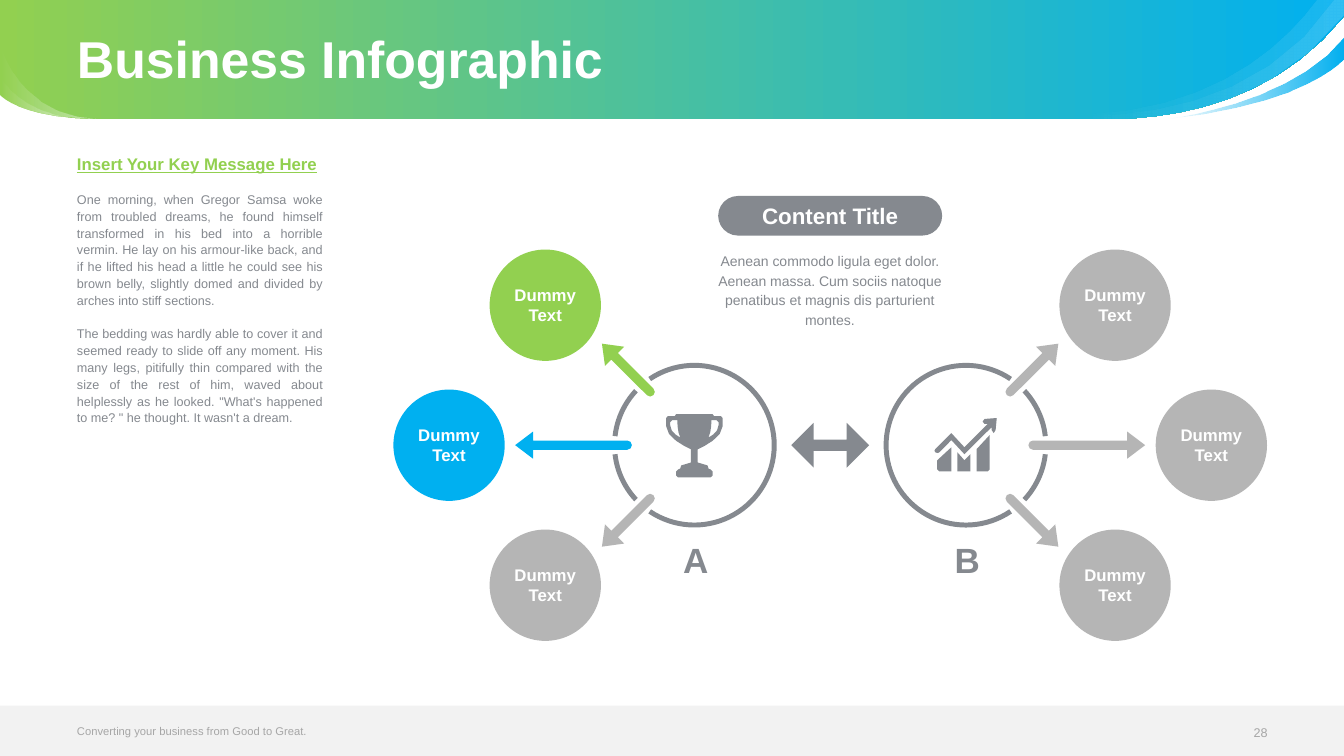
import math
from dataclasses import dataclass

from lxml import etree
from pptx import Presentation
from pptx import util as u
from pptx.dml.color import RGBColor
from pptx.enum import shapes, text
from pptx.oxml.ns import qn

GREEN, BLUE, SLATE, SILVER = "92D050", "00B0F0", "85898F", "B5B5B5"
WHITE, PALE, MUTED = "FFFFFF", "F2F2F2", "A6A6A6"
FONT = "Arial"
MIRROR_X = 593
CENTRE_Y = 318
HUB_A_X = 496
HUB = 117.6
DISC = 79.5

Point = tuple[float, float]
Outline = list[Point]


@dataclass
class Stop:
    position: float
    colour: str
    opacity: int = 100


@dataclass
class Swoosh:
    steps: list[tuple]
    stops: list[Stop]


@dataclass
class Spoke:
    disc: Point
    tip: Point
    tail: Point
    colour: str


@dataclass
class Style:
    size: float
    colour: str
    bold: bool = False
    align: text.PP_ALIGN = text.PP_ALIGN.LEFT
    anchor: text.MSO_ANCHOR = text.MSO_ANCHOR.MIDDLE
    spacing: float | u.Length | None = None
    before: float = 0


FADE_10 = [Stop(0.15, WHITE, 0), Stop(1, WHITE, 10)]
FADE_50 = [Stop(0, WHITE, 0), Stop(1, WHITE, 50)]
# A step of two numbers is a line, a step of six is a cubic curve.
SWOOSHES = [
    Swoosh([(960, 0), (960, 11.5), (911.5, 72, 842.5, 84.3, 795.6, 85), (70, 85),
            (13, 84.3, 0, 67.7, 0, 67.7), (0, 0)], [Stop(0, GREEN), Stop(1, BLUE)]),
    Swoosh([(960, 0), (960, 11.5), (881.5, 110, 748, 81.5, 744.5, 80.6),
            (749, 80.6, 887, 100, 953.3, 0)], FADE_10),
    Swoosh([(833, 85), (833, 85, 923, 74.2, 960, 26.6), (960, 42.5),
            (960, 42.5, 931.7, 75, 833, 85)], [Stop(0, BLUE, 0), Stop(1, BLUE)]),
    Swoosh([(960, 0), (960, 11.5), (880.5, 111.6, 744.5, 80.6, 744.5, 80.6),
            (856, 87.8, 914.4, 36, 941, 0)], FADE_10),
    Swoosh([(70, 85), (13, 84.3, 0, 67.7, 0, 67.7), (0, 54.7),
            (0, 54.7, 13, 84.3, 70, 85)], FADE_50),
    Swoosh([(70, 85), (13, 84.3, 0, 67.7, 0, 67.7), (0, 32.4),
            (0, 32.4, 13, 83.5, 70, 85)], FADE_50),
]
SPOKES = [
    Spoke((389.5, 218), (430, 245.5), (466.8, 282.3), GREEN),
    Spoke((320.75, 318), (368, 318), (451.4, 318), BLUE),
    Spoke((389.5, 418), (430, 390.5), (466.8, 353.7), SILVER),
]
# Degrees clockwise from the right of hub A.
RING_ARCS = [(186.5, 223), (236, 124), (137, 173.5)]
CUP_HALF = [(0, 0), (13, 0), (14, 1.4), (18.9, 1.4), (20.2, 2.9), (20.2, 8.6),
            (20.2, 16.6, 7.2, 23, 2.4, 25.2), (2.4, 34.6), (9.4, 36.7), (10.1, 38.9),
            (11.5, 39.6), (13, 41), (13, 43.9), (11.5, 45.3), (0, 45.3)]
CUP_HANDLE = [(17.3, 7.9), (17.3, 13.7, 10.1, 16.6, 10.1, 16.6),
              (12.2, 13, 12.2, 4.3, 12.2, 4.3), (15.8, 4.3), (17.3, 5.8)]
GROWTH = [
    [(-20.5, 30.2), (-10.4, 20.9), (-10.4, 38.2), (-19, 38.2), (-20.5, 36.7)],
    [(-6.1, 24.5), (-1.1, 30.2), (3.2, 25.9), (3.2, 38.2), (-6.1, 38.2)],
    [(7.6, 22.3), (16.9, 12.2), (16.9, 36.7), (15.5, 38.2), (7.6, 38.2)],
    [(13.3, 0.7), (11.9, 2.5), (13.3, 4.3), (15.5, 4.3), (-1.1, 20.9), (-10.4, 10.8),
     (-22, 22.3), (-22.5, 23.5), (-21.6, 24.7), (-20.2, 25), (-19, 24.5), (-10.4, 15.8),
     (-1.1, 25.9), (18.4, 6.5), (18.4, 8.6), (19.8, 10.8), (21.2, 8.6), (22, 0)],
]
STORY = [
    "One morning, when Gregor Samsa woke from troubled dreams, he found himself transformed "
    "in his bed into a horrible vermin. He lay on his armour-like back, and if he lifted his "
    "head a little he could see his brown belly, slightly domed and divided by arches into "
    "stiff sections.",
    "The bedding was hardly able to cover it and seemed ready to slide off any moment. His "
    "many legs, pitifully thin compared with the size of the rest of him, waved about "
    "helplessly as he looked. \"What's happened to me? \" he thought. It wasn't a dream.",
]


def rgb(colour: str) -> RGBColor:
    return RGBColor.from_string(colour)


def flatten(steps: list[tuple], pieces: int) -> Outline:
    """Turn lines and cubic curves into a run of points."""
    points: Outline = []
    for step in steps:
        if len(step) == 2:
            points.append(step)
            continue
        knots = [points[-1], step[:2], step[2:4], step[4:]]
        for i in range(1, pieces + 1):
            t = i / pieces
            weights = [(1 - t) ** 3, 3 * t * (1 - t) ** 2, 3 * t * t * (1 - t), t ** 3]
            points.append(tuple(sum(w * k[axis] for w, k in zip(weights, knots))
                                for axis in (0, 1)))
    return points


def flip(points: Outline, axis: float = 0) -> Outline:
    return [(2 * axis - x, y) for x, y in reversed(points)]


def shift(points: Outline, dx: float, dy: float) -> Outline:
    return [(x + dx, y + dy) for x, y in points]


def paint(shape, colour: str) -> None:
    shape.shadow.inherit = False
    shape.line.fill.background()
    shape.fill.solid()
    shape.fill.fore_color.rgb = rgb(colour)


def paint_gradient(shape, stops: list[Stop]) -> None:
    shape.fill.gradient()
    shape.fill.gradient_angle = 0
    for target, stop in zip(shape.fill.gradient_stops, stops):
        target.position = stop.position
        target.color.rgb = rgb(stop.colour)
    for tint, stop in zip(shape._element.spPr.iter(qn("a:srgbClr")), stops):
        if stop.opacity < 100:
            etree.SubElement(tint, qn("a:alpha")).set("val", str(stop.opacity * 1000))


def draw(page, outlines: list[Outline], colour: str):
    builder = None
    for outline in outlines:
        start, *rest = [(u.Pt(x), u.Pt(y)) for x, y in outline]
        if builder is None:
            builder = page.shapes.build_freeform(*start)
        else:
            builder.move_to(*start)
        builder.add_line_segments(rest, close=True)
    shape = builder.convert_to_shape()
    paint(shape, colour)
    return shape


def preset(page, kind, left: float, top: float, width: float, height: float, colour: str):
    shape = page.shapes.add_shape(kind, *map(u.Pt, (left, top, width, height)))
    paint(shape, colour)
    return shape


def write(shape, lines: list[str], style: Style) -> None:
    frame = shape.text_frame
    frame.margin_left = frame.margin_right = frame.margin_top = frame.margin_bottom = 0
    frame.auto_size = text.MSO_AUTO_SIZE.NONE
    frame.word_wrap = True
    frame.vertical_anchor = style.anchor
    frame.text = "\n".join(lines)
    for i, para in enumerate(frame.paragraphs):
        para.alignment = style.align
        para.line_spacing = style.spacing
        para.space_before = u.Pt(style.before if i else 0)
        for span in para.runs:
            span.font.name, span.font.size = FONT, u.Pt(style.size)
            span.font.bold, span.font.color.rgb = style.bold, rgb(style.colour)


def write_box(page, left: float, top: float, width: float, height: float,
              lines: list[str], style: Style):
    box = page.shapes.add_textbox(*map(u.Pt, (left, top, width, height)))
    write(box, lines, style)
    return box


def arrow(tip: Point, tail: Point) -> Outline:
    """Outline of an arrow with a round tail."""
    shaft, head, wing = 3.3, 12.8, 9.7
    length, angle = math.dist(tip, tail), math.atan2(tail[1] - tip[1], tail[0] - tip[0])
    cap = [(length - shaft + shaft * math.cos(math.radians(a)),
            shaft * math.sin(math.radians(a))) for a in range(-90, 91, 45)]
    flat = [(0, 0), (head, -wing), (head, -shaft), *cap, (head, shaft), (head, wing)]
    cos, sin = math.cos(angle), math.sin(angle)
    return [(tip[0] + x * cos - y * sin, tip[1] + x * sin + y * cos) for x, y in flat]


def draw_ring(page, x: float, mirrored: bool) -> None:
    for start, end in RING_ARCS:
        if mirrored:
            start, end = (180 - end) % 360, (180 - start) % 360
        arc = preset(page, shapes.MSO_SHAPE.BLOCK_ARC, x - HUB / 2, CENTRE_Y - HUB / 2,
                     HUB, HUB, SLATE)
        # Angles count in 60000ths of a degree, adjustments in 100000ths.
        for i, value in enumerate((start * 0.6, end * 0.6, 0.03)):
            arc.adjustments[i] = value


def draw_header(page) -> None:
    for swoosh in SWOOSHES:
        paint_gradient(draw(page, [flatten(swoosh.steps, 10)], WHITE), swoosh.stops)
    title = page.shapes.title
    title.left, title.top, title.width, title.height = map(u.Pt, (55, 3.5, 850, 81.5))
    write(title, ["Business Infographic"], Style(37, WHITE, True, spacing=0.9))
    page.shapes._spTree.append(title._element)


def draw_hubs(page) -> None:
    centre = text.PP_ALIGN.CENTER
    for mirrored, letter in ((False, "A"), (True, "B")):
        place = (lambda points: flip(points, MIRROR_X)) if mirrored else list
        (hub_x, _), = place([(HUB_A_X, CENTRE_Y)])
        draw_ring(page, hub_x, mirrored)
        for spoke in SPOKES:
            colour = SILVER if mirrored else spoke.colour
            draw(page, [place(arrow(spoke.tip, spoke.tail))], colour)
            (x, y), = place([spoke.disc])
            disc = preset(page, shapes.MSO_SHAPE.OVAL, x - DISC / 2, y - DISC / 2,
                          DISC, DISC, colour)
            write(disc, ["Dummy", "Text"], Style(12, WHITE, True, centre))
        write_box(page, hub_x - 33.5, 382.3, 69, 34, [letter], Style(25, SLATE, True, centre))
    half, handle = flatten(CUP_HALF, 4), flatten(CUP_HANDLE, 4)
    cup = [half + flip(half), handle, flip(handle)]
    draw(page, [shift(part, HUB_A_X, 295.8) for part in cup], SLATE)
    draw(page, [shift(part, 2 * MIRROR_X - HUB_A_X, 298.6) for part in GROWTH], SLATE)
    link = preset(page, shapes.MSO_SHAPE.LEFT_RIGHT_ARROW, 565.2, 302, 55.6, 32, SLATE)
    link.adjustments[0] = 0.25


def main() -> None:
    deck = Presentation()
    deck.slide_width, deck.slide_height = u.Pt(960), u.Pt(540)
    page = deck.slides.add_slide(deck.slide_layouts[5])
    draw_header(page)
    preset(page, shapes.MSO_SHAPE.RECTANGLE, 0, 504, 960, 36, PALE)
    body = Style(9, SLATE, align=text.PP_ALIGN.JUSTIFY, anchor=text.MSO_ANCHOR.TOP,
                 spacing=u.Pt(12), before=12)
    message = write_box(page, 55, 112, 175.5, 374, ["Insert Your Key Message Here", *STORY], body)
    heading = message.text_frame.paragraphs[0].runs[0].font
    heading.size, heading.bold, heading.underline = u.Pt(12), True, True
    heading.color.rgb = rgb(GREEN)
    write_box(page, 55, 513, 376, 19, ["Converting your business from Good to Great."], Style(8, MUTED))
    write_box(page, 860, 513.5, 45.5, 19, ["28"], Style(9, MUTED, align=text.PP_ALIGN.RIGHT))
    draw_hubs(page)
    centre = text.PP_ALIGN.CENTER
    write_box(page, 505, 178.5, 175.5, 57,
              ["Aenean commodo ligula eget dolor. Aenean massa. Cum sociis natoque "
               "penatibus et magnis dis parturient montes."],
              Style(10, SLATE, align=centre, anchor=text.MSO_ANCHOR.TOP, spacing=u.Pt(14)))
    pill = preset(page, shapes.MSO_SHAPE.ROUNDED_RECTANGLE, 513, 140, 160, 28.3, SLATE)
    pill.adjustments[0] = 0.5
    write(pill, ["Content Title"], Style(16, WHITE, True, centre))
    deck.save("out.pptx")


if __name__ == "__main__":
    main()
